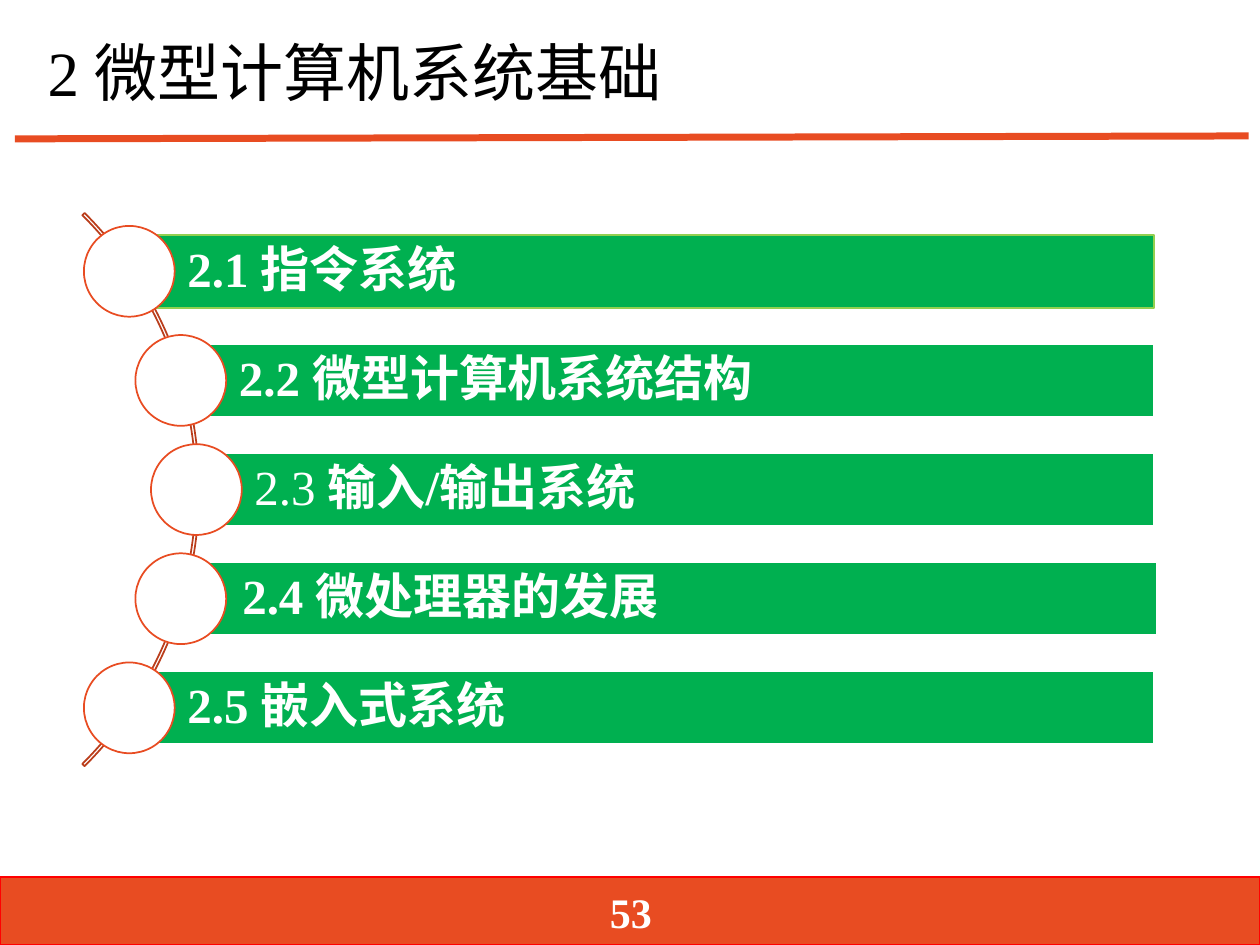
from math import sqrt

from pptx import Presentation
from pptx.dml.color import RGBColor
from pptx.enum.shapes import MSO_CONNECTOR, MSO_SHAPE
from pptx.enum.text import MSO_ANCHOR, PP_ALIGN
from pptx.oxml.ns import qn
from pptx.util import Cm, Pt

RECT, OVAL, ARC = MSO_SHAPE.RECTANGLE, MSO_SHAPE.OVAL, MSO_SHAPE.BLOCK_ARC
LINE = MSO_CONNECTOR.STRAIGHT
MIDDLE = MSO_ANCHOR.MIDDLE
LEFT, CENTER = PP_ALIGN.LEFT, PP_ALIGN.CENTER

FONT = "Times New Roman"
ORANGE, RUST, RED = "E84C22", "BA3D1B", "FF0000"
GREEN, LIME = "00B050", "92D050"
WHITE, BLACK = "FFFFFF", "000000"


def tint(code):
    return RGBColor.from_string(code)


class Deck:
    def __init__(self, wide, high):
        self.file = Presentation()
        self.file.slide_width, self.file.slide_height = Cm(wide), Cm(high)
        self.slide = self.file.slides.add_slide(self.file.slide_layouts[6])

    def shape(self, kind, x, y, w, h, fill, edge, width=1):
        item = self.slide.shapes.add_shape(kind, Cm(x), Cm(y), Cm(w), Cm(h))
        item.shadow.inherit = False
        if fill:
            item.fill.solid()
            item.fill.fore_color.rgb = tint(fill)
        else:
            item.fill.background()
        item.line.color.rgb = tint(edge)
        item.line.width = Pt(width)
        return item

    def rule(self, x1, y1, x2, y2, color, width):
        item = self.slide.shapes.add_connector(LINE, Cm(x1), Cm(y1), Cm(x2), Cm(y2))
        item.line.color.rgb = tint(color)
        item.line.width = Pt(width)
        props = item._element.spPr
        props.append(props.makeelement(qn("a:effectLst"), {}))

    def label(self, item, parts, size, color, align=LEFT, space=0.9):
        """Fill a shape with one paragraph of (text, bold) parts."""
        frame = item.text_frame
        frame.word_wrap = True
        frame.vertical_anchor = MIDDLE
        para = frame.paragraphs[0]
        para.alignment, para.line_spacing = align, space
        for text, bold in parts:
            run = para.add_run()
            run.text = text
            run.font.name, run.font.size = FONT, Pt(size)
            run.font.bold = bold
            run.font.color.rgb = tint(color)

    def text(self, x, y, w, h, *style):
        box = self.slide.shapes.add_textbox(Cm(x), Cm(y), Cm(w), Cm(h))
        self.label(box, *style)

    def bar(self, x, y, w, h, edge, parts):
        item = self.shape(RECT, x, y, w, h, GREEN, edge)
        frame = item.text_frame
        frame.margin_left = Cm(1.17)
        frame.margin_top = frame.margin_right = frame.margin_bottom = Cm(0.2)
        self.label(item, parts, 28, WHITE)


def main():
    deck = Deck(25.4, 19.05)

    # Footer band, title and rule
    deck.shape(RECT, 0, 17.68, 25.4, 1.37, ORANGE, RED, 0)
    deck.rule(0.3, 2.8, 25.17, 2.74, ORANGE, 4)
    deck.text(0.71, 0.33, 24.46, 2.41, [("2 微型计算机系统基础", False)], 36, BLACK)

    # Arc behind the list
    mid_x, mid_y, size = -3.87, 9.87, 15.77
    arc = deck.shape(ARC, mid_x - size / 2, mid_y - size / 2, size, size, None, RUST)
    for i, value in enumerate((189, 27, 0.004)):
        arc.adjustments[i] = value

    # Topics: each circle sits on the curve, its bar starts at the centre
    topics = [
        ([("2.1 指令系统", True)], LIME, 0),
        ([("2.2 微型计算机系统结构", True)], WHITE, 0),
        ([("2.3 ", False), ("输入/输出系统", True)], WHITE, 0),
        ([("2.4 微处理器的发展", True)], WHITE, 0.07),
        ([("2.5 嵌入式系统", True)], WHITE, 0),
    ]
    radius, pitch, right, tall, dot = 7.83, 2.2, 23.26, 1.47, 1.83
    for i, (parts, edge, shift) in enumerate(topics):
        rise = (i - 2) * pitch
        x, y = mid_x + sqrt(radius**2 - rise**2), mid_y + rise
        deck.bar(x + shift, y - tall / 2, right - x, tall, edge, parts)
        deck.shape(OVAL, x - dot / 2, y - dot / 2, dot, dot, WHITE, ORANGE)

    # Page number
    deck.text(9.86, 17.86, 5.72, 1.02, [("53", True)], 24, WHITE, CENTER, 1)

    deck.file.save("out.pptx")


if __name__ == "__main__":
    main()
